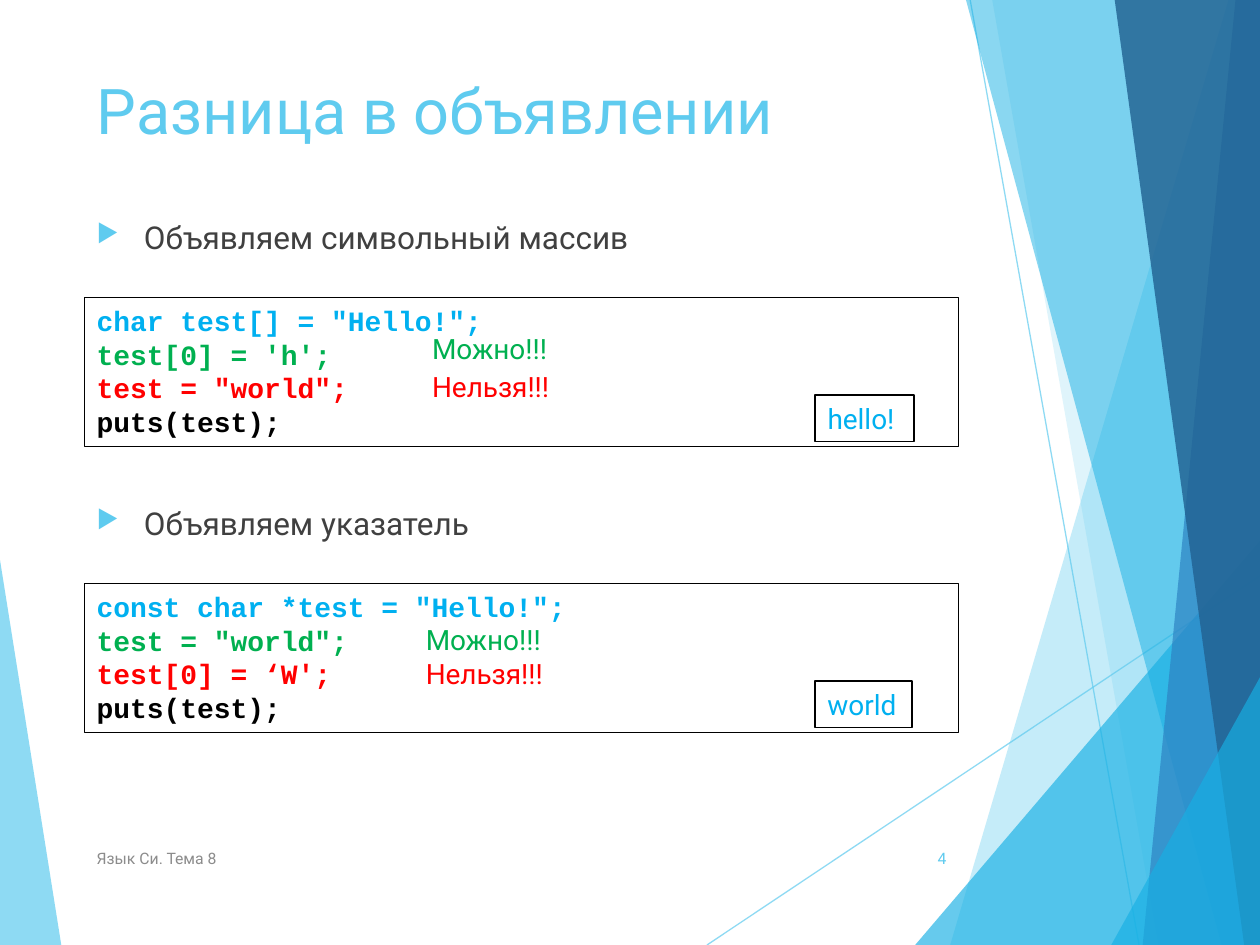
from pptx import Presentation
from pptx.dml.color import RGBColor as Rgb
from pptx.enum.shapes import MSO_CONNECTOR as Link, MSO_SHAPE as Kind
from pptx.enum.text import MSO_ANCHOR as Anchor, PP_ALIGN as Align
from pptx.oxml.ns import qn
from pptx.util import Pt
from lxml.etree import SubElement as Sub

SKY = Rgb(0x5F, 0xCB, 0xEF)
AQUA = Rgb(0x17, 0xB0, 0xE4)
BLUE = Rgb(0x2E, 0x83, 0xC3)
NAVY = Rgb(0x22, 0x62, 0x92)
CYAN = Rgb(0x00, 0xB0, 0xF0)
GREEN = Rgb(0x00, 0xB0, 0x50)
RED = Rgb(0xFF, 0x00, 0x00)
BLACK = Rgb(0x00, 0x00, 0x00)
DARK = Rgb(0x40, 0x40, 0x40)
GREY = Rgb(0x8C, 0x8C, 0x8C)


class Deck:
    """Hold the style and the current slide, and add elements in points."""

    sans, mono = "Roboto", "Courier New"
    left, wide = 48.2, 499.7

    def __init__(self):
        self.show = Presentation()
        self.show.slide_width, self.show.slide_height = Pt(720), Pt(540)
        self.slide = self.show.slides.add_slide(self.show.slide_layouts[5])
        self.shapes = self.slide.shapes

    def fade(self, fill, color, alpha):
        fill.solid()
        fill.fore_color.rgb = color
        tint = fill._xPr.find(".//" + qn("a:srgbClr"))
        Sub(tint, qn("a:alpha"), val=str(alpha * 1000))

    def facet(self, color, alpha, first, *rest):
        pen = self.shapes.build_freeform(*first, scale=Pt(1))
        pen.add_line_segments(rest, close=True)
        shape = pen.convert_to_shape()
        shape.shadow.inherit = False
        shape.line.fill.background()
        self.fade(shape.fill, color, alpha)

    def line(self, *ends):
        line = self.shapes.add_connector(Link.STRAIGHT, *map(Pt, ends))
        line.line.width = Pt(0.75)
        self.fade(line.line.fill, SKY, 70)
        Sub(line._element.spPr, qn("a:effectLst"))

    def style(self, shape, rows, size, font=sans, bold=False,
              align=Align.LEFT, anchor=Anchor.TOP, wrap=True):
        frame = shape.text_frame
        frame.word_wrap, frame.vertical_anchor = wrap, anchor
        frame.text = "\n".join(text for text, _ in rows)
        for par, (_, color) in zip(frame.paragraphs, rows):
            par.alignment = align
            par.font.name, par.font.size = font, Pt(size)
            par.font.bold, par.font.color.rgb = bold, color
        return frame

    def title(self, text, *box):
        shape = self.shapes.title
        shape.left, shape.top, shape.width, shape.height = map(Pt, box)
        self.style(shape, [(text, SKY)], 36)

    def label(self, text, color, size, *box, **looks):
        shape = self.shapes.add_textbox(*map(Pt, box))
        return self.style(shape, [(text, color)], size, **looks)

    def bullet(self, text, top):
        frame = self.label(text, DARK, 18, self.left, top, self.wide, 40.3)
        par = frame.paragraphs[0]
        par.space_before = Pt(10)
        props = par._p.get_or_add_pPr()
        props.set("marL", str(Pt(27)))
        props.set("indent", str(Pt(-27)))
        nodes = [Sub(props, qn("a:" + tag))
                 for tag in ("buClr", "buSzPct", "buChar")]
        Sub(nodes[0], qn("a:srgbClr"), val=str(SKY))
        nodes[1].set("val", "80000")
        nodes[2].set("char", "▶")
        for node in nodes:
            props.insert_element_before(node, "a:tabLst", "a:defRPr")

    def frame(self, rows, *box, **looks):
        shape = self.shapes.add_shape(Kind.RECTANGLE, *map(Pt, box))
        shape.shadow.inherit = False
        shape.fill.background()
        shape.line.color.rgb, shape.line.width = BLACK, Pt(0.75)
        self.style(shape, rows, 16, **looks)

    def sample(self, head, code, top, out, span, notes):
        self.bullet(head, top)
        rows = list(zip(code, (CYAN, GREEN, RED, BLACK)))
        self.frame(rows, self.left, top + 49, self.wide, 85,
                   font=self.mono, bold=True)
        x, *tops = notes
        for text, color, y in zip(("Можно!!!", "Нельзя!!!"), (GREEN, RED), tops):
            self.label(text, color, 16, x, y, 116.6, 26.6)
        self.frame([(out, CYAN)], 465.8, top + 104.8, span, 26.6, wrap=False)


deck = Deck()
deck.facet(SKY, 70, (0, 320), (35, 540), (0, 540))
deck.line(404, 540, 720, 329)
deck.line(554.4, 0, 650.9, 540)
for color, alpha, *spots in (
    (SKY, 36, (702, 0), (543, 540), (720, 540), (720, 0)),
    (SKY, 20, (567, 0), (662, 540), (720, 540), (720, 0)),
    (AQUA, 66, (523, 540), (720, 309), (720, 540)),
    (AQUA, 50, (552, 0), (698, 540), (720, 540), (720, 0)),
    (BLUE, 70, (706, 0), (653, 540), (720, 540), (720, 0)),
    (NAVY, 82, (637, 0), (711, 540), (720, 540), (720, 0)),
    (AQUA, 66, (635, 540), (720, 387), (720, 540)),
):
    deck.facet(color, alpha, *spots)

deck.title("Разница в объявлении", deck.left, 37.4, deck.wide, 56.9)
deck.sample(
    "Объявляем символьный массив",
    ('char test[] = "Hello!";', "test[0] = 'h';",
     'test = "world";', "puts(test);"),
    121, "hello!", 56.5, (239.8, 186, 207.4))
deck.sample(
    "Объявляем указатель",
    ('const char *test = "Hello!";', 'test = "world";',
     "test[0] = ‘W';", "puts(test);"),
    284.4, "world", 55.4, (236.2, 352, 371.5))
deck.label("Язык Си. Тема 8", GREY, 9, deck.left, 475.9, 364.3, 28.8,
           anchor=Anchor.MIDDLE)
deck.label("4", SKY, 9, 507.6, 475.9, 40.3, 28.8,
           align=Align.RIGHT, anchor=Anchor.MIDDLE)
deck.show.save("out.pptx")
